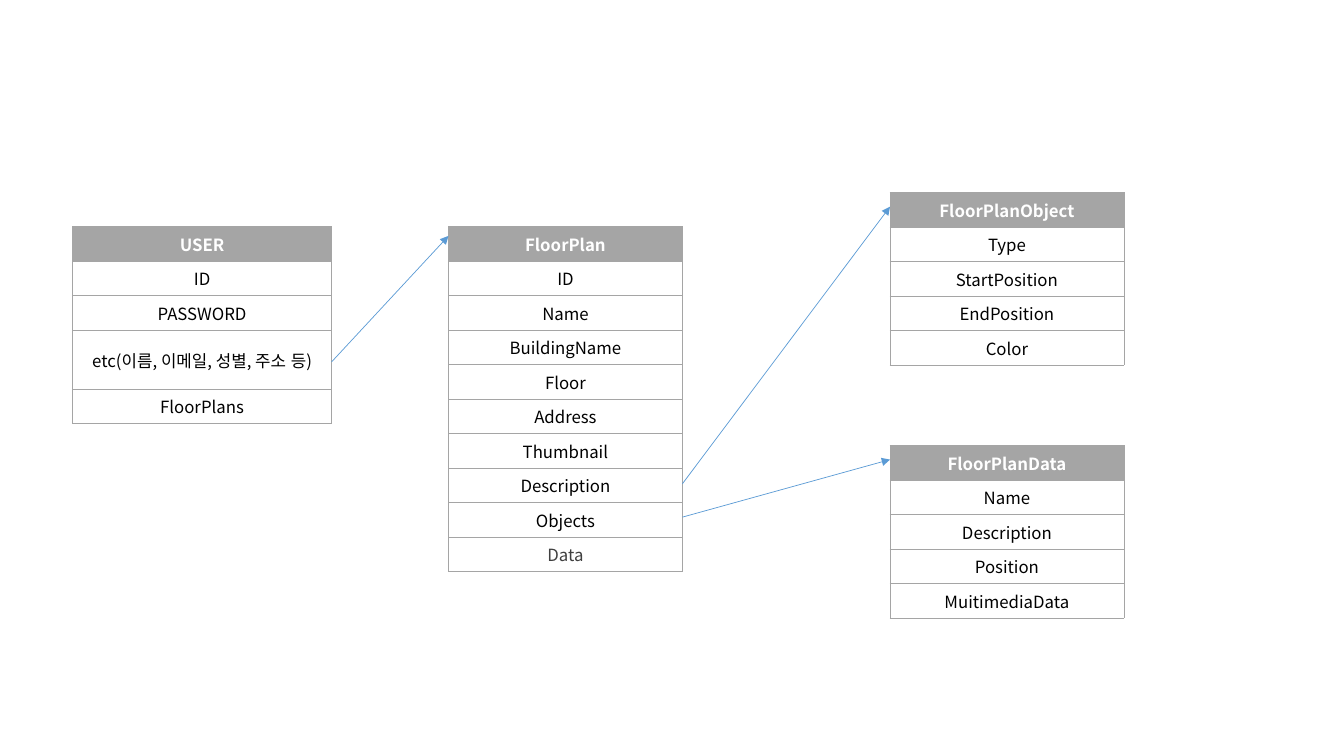
from lxml.etree import SubElement
from pptx import Presentation
from pptx.dml.color import RGBColor
from pptx.enum.lang import MSO_LANGUAGE_ID as Language
from pptx.enum.shapes import MSO_CONNECTOR as Connector
from pptx.enum.text import MSO_ANCHOR as Anchor, PP_ALIGN as Align
from pptx.oxml.ns import qn
from pptx.util import Pt

FONT = "Noto Sans CJK KR"
GREY, BLUE, WHITE, BLACK, DARK = "A5A5A5", "5B9BD5", "FFFFFF", "000000", "404040"
ROW_HEIGHT = 21.6

ENTITIES = {
    "USER": (51.84, 162, 185.04, [
        "ID", "PASSWORD", "etc(이름, 이메일, 성별, 주소 등)", "FloorPlans"]),
    "FloorPlan": (320.4, 162, 167.04, [
        "ID", "Name", "BuildingName", "Floor", "Address", "Thumbnail",
        "Description", "Objects", "Data"]),
    "FloorPlanObject": (635.76, 137.52, 167.04, [
        "Type", "StartPosition", "EndPosition", "Color"]),
    "FloorPlanData": (635.76, 318.24, 167.04, [
        "Name", "Description", "Position", "MuitimediaData"]),
}
RELATIONS = [
    ("USER", 258.5, "FloorPlan", 168.5),
    ("FloorPlan", 345.6, "FloorPlanObject", 147.6),
    ("FloorPlan", 369.4, "FloorPlanData", 328.3),
]
MUTED_FIELDS = {("FloorPlan", "Data")}


def color(value):
    return RGBColor.from_string(value)


def write(cell, text, ink=BLACK, bold=False, size=12):
    cell.vertical_anchor = Anchor.MIDDLE
    paragraph = cell.text_frame.paragraphs[0]
    paragraph.alignment = Align.CENTER
    run = paragraph.add_run()
    run.text = text
    font = run.font
    font.name, font.size, font.bold = FONT, Pt(size), bold
    font.color.rgb = color(ink)
    font.language_id = Language.KOREAN
    SubElement(font._element, qn("a:ea"), typeface=FONT)


def add_borders(cell):
    properties = cell._tc.get_or_add_tcPr()
    for side in ("L", "R", "T", "B"):
        line = SubElement(properties, qn(f"a:ln{side}"), w=str(Pt(0.5)))
        fill = SubElement(line, qn("a:solidFill"))
        SubElement(fill, qn("a:srgbClr"), val=GREY)


def add_entity(slide, name, left, top, width, fields):
    rows = [name, *fields]
    frame = slide.shapes.add_table(
        len(rows), 1, Pt(left), Pt(top), Pt(width), Pt(ROW_HEIGHT * len(rows)))
    table = frame.table
    table.horz_banding = False
    for index, text in enumerate(rows):
        header = index == 0
        cell = table.cell(index, 0)
        add_borders(cell)
        cell.fill.solid()
        cell.fill.fore_color.rgb = color(GREY if header else WHITE)
        ink = WHITE if header else DARK if (name, text) in MUTED_FIELDS else BLACK
        write(cell, text, ink=ink, bold=header)


def add_relation(slide, source, start_y, target, end_y):
    left, _, width, _ = ENTITIES[source]
    arrow = slide.shapes.add_connector(
        Connector.STRAIGHT, Pt(left + width), Pt(start_y),
        Pt(ENTITIES[target][0]), Pt(end_y))
    arrow.line.color.rgb = color(BLUE)
    arrow.line.width = Pt(0.5)
    SubElement(arrow.line._get_or_add_ln(), qn("a:tailEnd"), type="triangle")
    SubElement(arrow._element.spPr, qn("a:effectLst"))


def main():
    presentation = Presentation()
    presentation.slide_width, presentation.slide_height = Pt(960), Pt(540)
    slide = presentation.slides.add_slide(presentation.slide_layouts[6])
    for name, entity in ENTITIES.items():
        add_entity(slide, name, *entity)
    for relation in RELATIONS:
        add_relation(slide, *relation)
    presentation.save("out.pptx")


if __name__ == "__main__":
    main()
